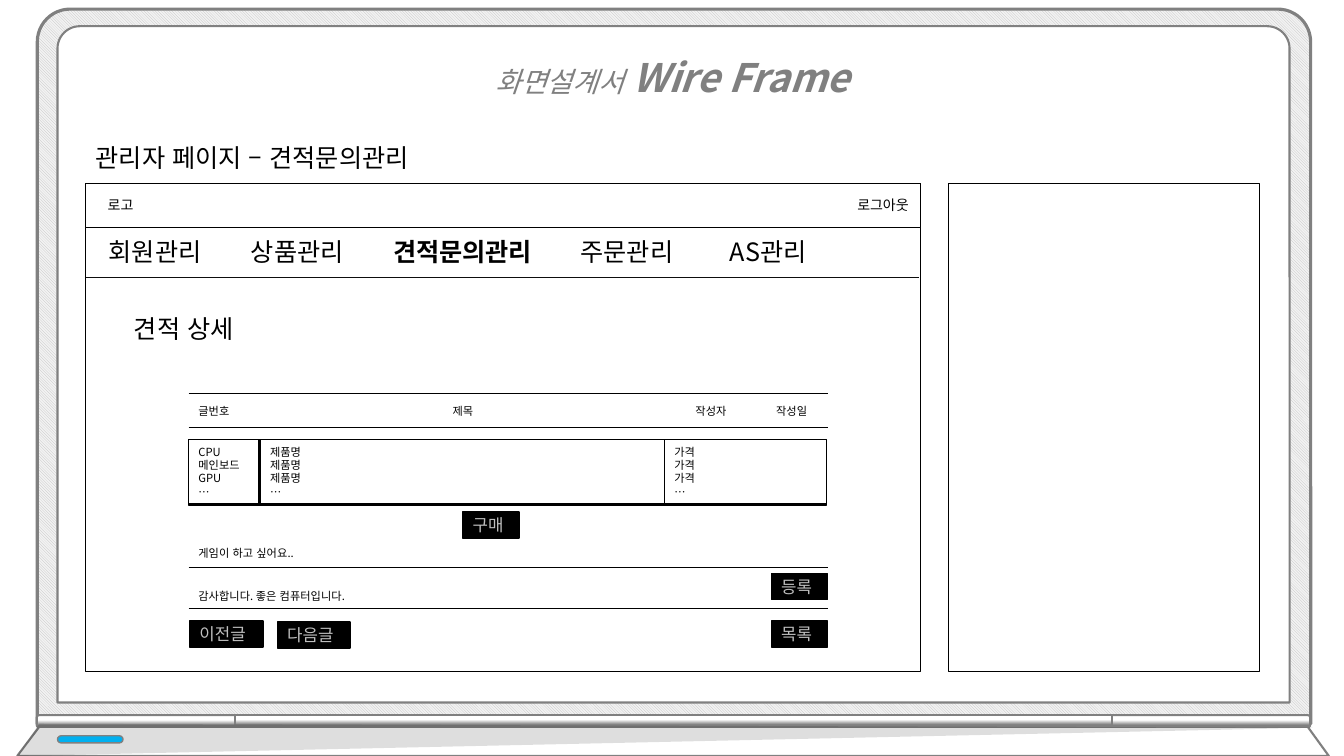
import pptx
import pptx.util
import pptx.dml.color
import pptx.enum.dml
import pptx.enum.lang
import pptx.enum.shapes
import pptx.enum.text
import pptx.oxml.ns
from lxml import etree

PX = 9144  # 100 px to the inch
FONT = "Noto Sans CJK KR"
COLORS = {"black": "000000", "white": "FFFFFF", "gray": "808080", "rule": "0D0D0D",
          "silver": "BFBFBF", "pale": "F2F2F2", "blue": "00B0F0"}
RGB = {name: pptx.dml.color.RGBColor.from_string(c) for name, c in COLORS.items()}
SHAPE = pptx.enum.shapes.MSO_SHAPE
ALIGN = pptx.enum.text.PP_ALIGN
ANCHOR = pptx.enum.text.MSO_ANCHOR
qn = pptx.oxml.ns.qn


def paint(s, fill, line, width=1):
    """Set a flat fill and an outline; None leaves either one out."""
    s.shadow.inherit = False
    if fill:
        s.fill.solid()
        s.fill.fore_color.rgb = RGB[fill]
    if line:
        s.line.color.rgb = RGB[line]
        s.line.width = pptx.util.Pt(width)
    else:
        s.line.fill.background()


def write(s, lines, size, color="black", align=ALIGN.LEFT, anchor=ANCHOR.TOP):
    """Fill a shape with lines, each a list of (text, font attributes) runs."""
    tf = s.text_frame
    tf.word_wrap = True
    tf.vertical_anchor = anchor
    for i, runs in enumerate(lines):
        p = tf.add_paragraph() if i else tf.paragraphs[0]
        p.alignment = align
        for text, extra in runs:
            r = p.add_run()
            r.text = text
            fmt = {"size": pptx.util.Pt(size), "name": FONT,
                   "language_id": pptx.enum.lang.MSO_LANGUAGE_ID.KOREAN} | extra
            for key, value in fmt.items():
                setattr(r.font, key, value)
            r.font.color.rgb = RGB[color]
            etree.SubElement(r.font._element, qn("a:ea"), typeface=FONT)


prs = pptx.Presentation()
prs.slide_width, prs.slide_height = 1333 * PX, 750 * PX
slide = prs.slides.add_slide(prs.slide_layouts[6])
shapes = slide.shapes

# Laptop: bezel and screen
laptop = shapes.add_group_shape().shapes
for box, corner, width in [((37, 9, 1263, 709), 0.046, 2.25),
                           ((57, 26, 1222, 671), 0.033, 1.5)]:
    s = laptop.add_shape(SHAPE.ROUND_2_SAME_RECTANGLE, *(v * PX for v in box))
    s.adjustments[0], s.adjustments[1] = corner, 0
    paint(s, "white", "gray", width)
bezel = laptop[0].fill
bezel.patterned()
bezel.pattern = pptx.enum.dml.MSO_PATTERN.LIGHT_DOWNWARD_DIAGONAL
bezel.fore_color.rgb = RGB["silver"]
bezel.back_color.rgb = RGB["pale"]

# Hinge: two rounded ends and the middle bar
for left, top, length, rotation, corner in [(129, 617, 197, 270, 0.193),
                                            (1195, 617, 197, 90, 0.193),
                                            (662, 280, 870, 270, 0)]:
    s = laptop.add_shape(SHAPE.ROUND_2_SAME_RECTANGLE,
                         left * PX, top * PX, 12 * PX, length * PX)
    s.adjustments[0], s.adjustments[1] = corner, 0
    s.rotation = rotation
    if rotation == 90:
        s._element.spPr.xfrm.set("flipH", "1")
    paint(s, None, "gray", 1.5)
    s.fill.gradient()
    s.fill.gradient_angle = 0
    for stop, color, position in zip(s.fill.gradient_stops, ("gray", "white"), (0.17, 0.59)):
        stop.color.rgb = RGB[color]
        stop.position = position

# Base, its shade and the light
for points, fill, line in [([(39, 721), (1297, 721), (1318, 750), (17, 750)], "white", "gray"),
                           ([(39, 718), (17, 750), (1302, 722)], "black", None)]:
    outline = laptop.build_freeform(*points[0], scale=PX)
    outline.add_line_segments(points[1:], close=True)
    s = outline.convert_to_shape()
    paint(s, fill, line, 1.5)
shade = s._element.spPr.find(".//" + qn("a:srgbClr"))
etree.SubElement(shade, qn("a:alpha"), val="13000")
s = laptop.add_shape(SHAPE.ROUNDED_RECTANGLE, 57 * PX, 730 * PX, 65 * PX, 7 * PX)
s.adjustments[0] = 0.5
paint(s, "blue", "gray")

# Side panel, page, page header, parts table
for box in [(941, 182, 308, 484), (85, 182, 828, 484), (85, 182, 828, 44),
            (187, 436, 633, 65)]:
    paint(shapes.add_shape(SHAPE.RECTANGLE, *(v * PX for v in box)), "white", "black")

# Rules
for x1, x2, y, color in [(85, 911, 275, "rule"),
                         *((187, 821, y, "black") for y in (390, 424, 563, 604))]:
    s = shapes.add_connector(pptx.enum.shapes.MSO_CONNECTOR.STRAIGHT,
                             x1 * PX, y * PX, x2 * PX, y * PX)
    s.line.color.rgb = RGB[color]
    s.line.width = pptx.util.Pt(0.5)
    etree.SubElement(s._element.spPr, qn("a:effectLst"))

# Title, headings, menu and labels
plain, bold = {}, {"bold": True}
title = [("화면설계서 ", {"italic": True}),
         ("Wire Frame", {"italic": True, "bold": True, "size": pptx.util.Pt(28)})]
menu = [("회원관리\t상품관리\t", plain), ("견적문의관리", bold), ("\t주문관리\tAS관리", plain)]
texts = {}
for name, box, runs, size, color, align in [
        ("title", (367, 25, 600, 81), title, 20, "gray", ALIGN.CENTER),
        ("menu", (98, 230, 800, 40), menu, 18, "black", ALIGN.LEFT),
        ("page", (85, 136, 382, 40), [("관리자 페이지 – 견적문의관리", plain)], 18, "black", ALIGN.LEFT),
        ("section", (123, 306, 229, 40), [("견적 상세", plain)], 18, "black", ALIGN.LEFT),
        ("logo", (97, 190, 241, 27), [("로고", plain)], 10, "black", ALIGN.LEFT),
        ("logout", (601, 190, 310, 27), [("로그아웃", plain)], 10, "black", ALIGN.RIGHT),
        ("number", (187, 396, 60, 24), [("글번호", plain)], 8, "black", ALIGN.LEFT),
        ("subject", (439, 396, 60, 24), [("제목", plain)], 8, "black", ALIGN.LEFT),
        ("author", (680, 396, 60, 24), [("작성자", plain)], 8, "black", ALIGN.LEFT),
        ("date", (760, 396, 60, 24), [("작성일", plain)], 8, "black", ALIGN.LEFT),
        ("request", (187, 537, 633, 24), [("게임이 하고 싶어요..", plain)], 8, "black", ALIGN.LEFT),
        ("reply", (187, 580, 633, 24), [("감사합니다. 좋은 컴퓨터입니다.", plain)], 8, "black", ALIGN.LEFT)]:
    texts[name] = shapes.add_textbox(*(v * PX for v in box))
    if name == "menu":
        pPr = texts[name].text_frame.paragraphs[0]._p.get_or_add_pPr()
        tabs = etree.SubElement(pPr, qn("a:tabLst"))
        for x in (141, 282, 468, 616):
            etree.SubElement(tabs, qn("a:tab"), pos=str(x * PX), algn="l")
    write(texts[name], [runs], size, color, align)
texts["title"].text_frame.paragraphs[0].line_spacing = 1.5

# Columns of the parts table
for left, width, lines in [(258, 401, ["제품명"] * 3),
                           (187, 70, ["CPU", "메인보드", "GPU"]),
                           (659, 161, ["가격"] * 3)]:
    s = shapes.add_shape(SHAPE.RECTANGLE, left * PX, 436 * PX, width * PX, 64 * PX)
    paint(s, "white", "black")
    write(s, [[(line, plain)] for line in lines + ["…"]], 8, anchor=ANCHOR.MIDDLE)

# Buttons
for label, left, top, width in [("목록", 765, 616, 56), ("구매", 459, 508, 56),
                                ("이전글", 188, 616, 73), ("다음글", 275, 617, 72),
                                ("등록", 765, 569, 56)]:
    s = shapes.add_shape(SHAPE.RECTANGLE, left * PX, top * PX, width * PX, 26 * PX)
    paint(s, "black", "black")
    write(s, [[(label, plain)]], 12, "silver", anchor=ANCHOR.MIDDLE)

prs.save("out.pptx")
